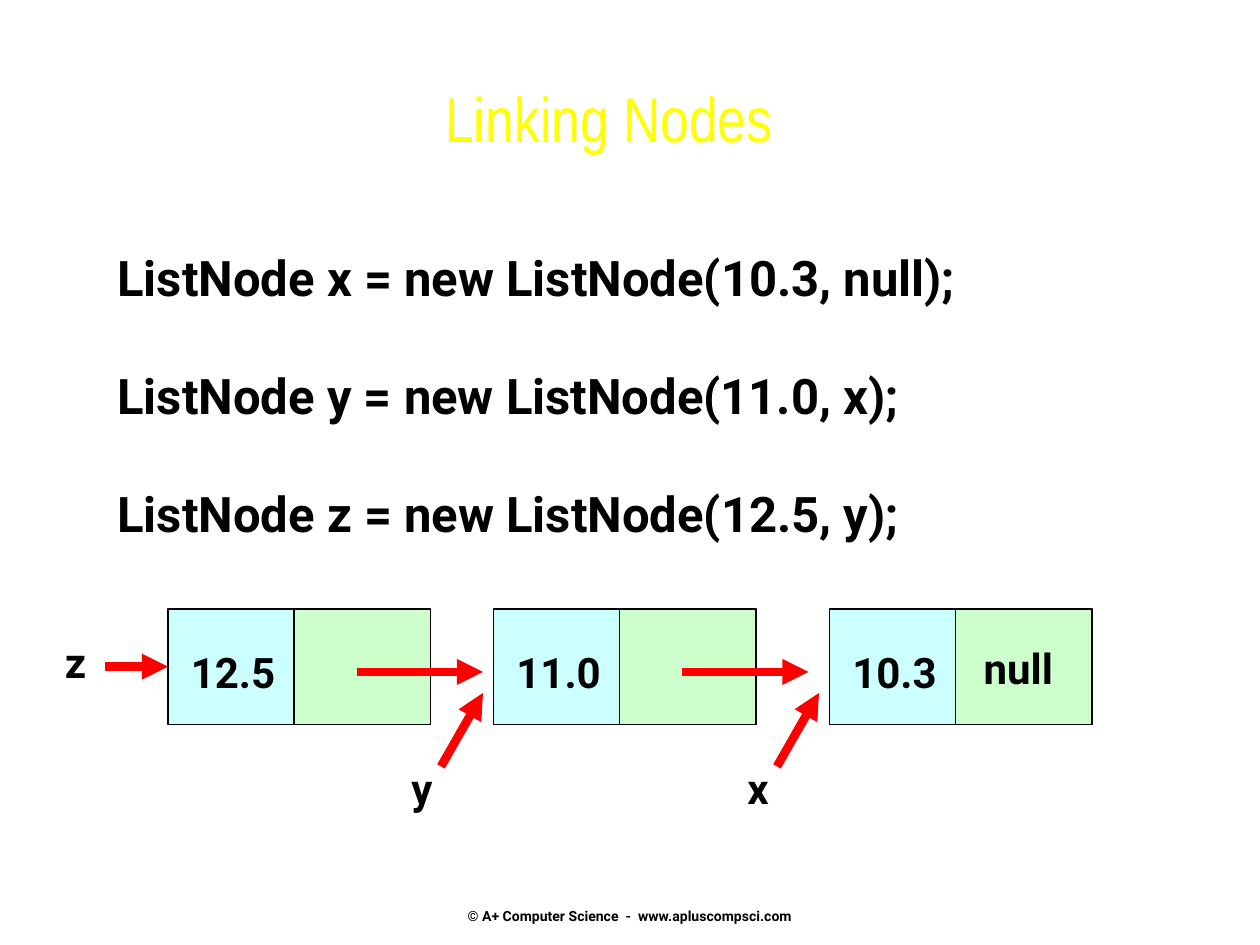
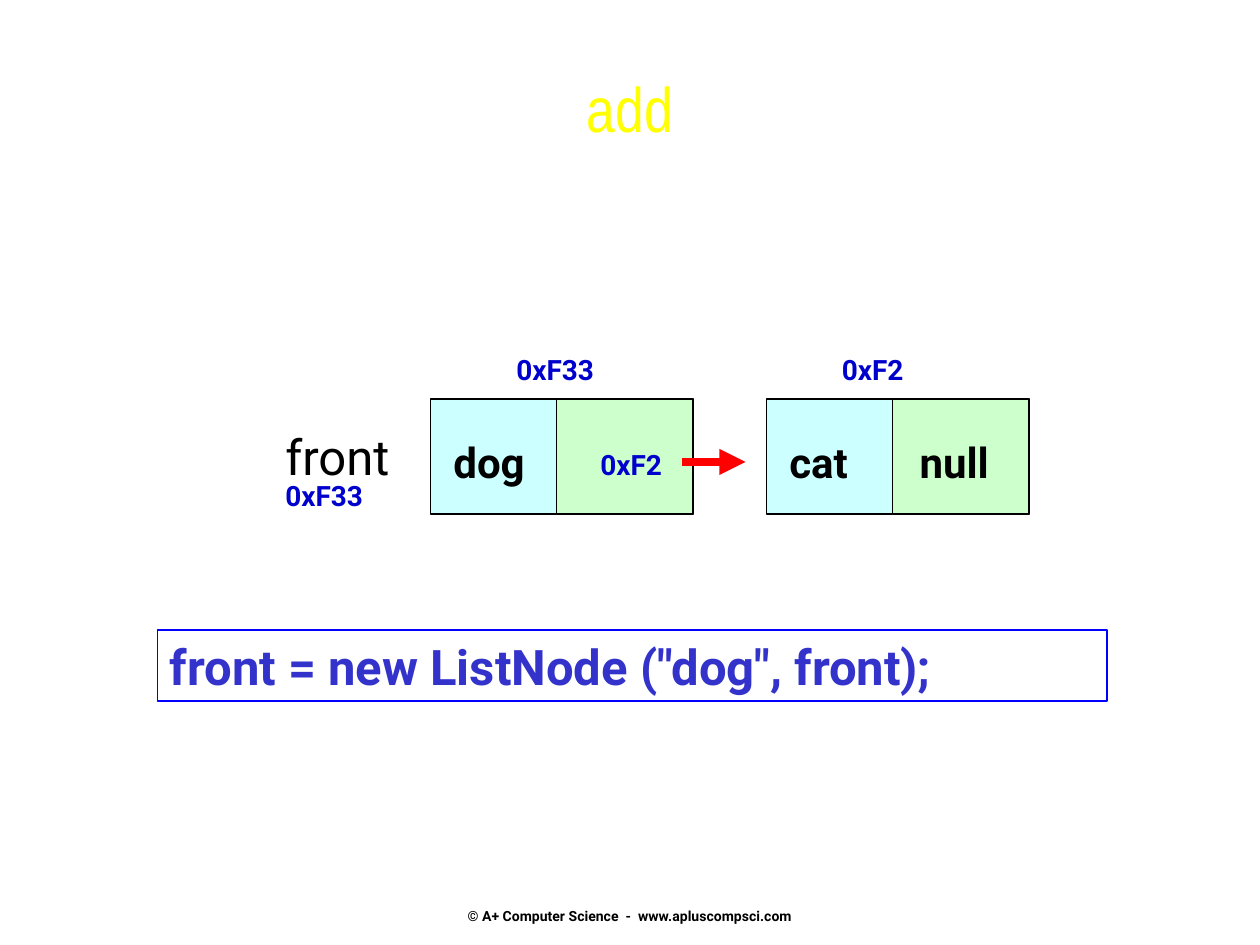
from typing import NamedTuple, Optional

import pptx
import pptx.dml.color
import pptx.enum.shapes
import pptx.enum.text
import pptx.oxml
import pptx.oxml.ns
import pptx.util

RGBColor = pptx.dml.color.RGBColor
PP_ALIGN = pptx.enum.text.PP_ALIGN
ANCHOR = pptx.enum.text.MSO_ANCHOR
RECT = pptx.enum.shapes.MSO_SHAPE.RECTANGLE
STRAIGHT = pptx.enum.shapes.MSO_CONNECTOR.STRAIGHT
Pt = pptx.util.Pt

BLACK = RGBColor(0x00, 0x00, 0x00)
YELLOW = RGBColor(0xFF, 0xFF, 0x00)
RED = RGBColor(0xFF, 0x00, 0x00)
BLUE = RGBColor(0x00, 0x00, 0xFF)
ADDRESS_BLUE = RGBColor(0x00, 0x00, 0xCC)
CODE_BLUE = RGBColor(0x33, 0x33, 0xCC)
DATA_CYAN = RGBColor(0xCC, 0xFF, 0xFF)
LINK_GREEN = RGBColor(0xCC, 0xFF, 0xCC)

COLUMNS = 120
NODE_W, NODE_H, LINK_W = 25, 11, 13
CODE_LINE = 33.7
FOOTER = "© A+ Computer Science  -  www.apluscompsci.com"


class Area(NamedTuple):
    col: float
    row: float
    cols: float
    rows: float


class Style(NamedTuple):
    size: float
    color: RGBColor = BLACK
    bold: bool = True
    name: str = "Roboto"


class Label(NamedTuple):
    text: str
    col: float
    row: float
    style: Style


class Arrow(NamedTuple):
    col: float
    row: float
    to_col: float
    to_row: float
    target: Optional[int] = None


class Node(NamedTuple):
    col: float
    value: str


TITLE = Style(36, YELLOW, False, "Arial Narrow")
CODE = Style(28)
CALL = Style(28, CODE_BLUE)
VARIABLE = Style(28, bold=False)
VALUE = Style(24)
ADDRESS = Style(16, ADDRESS_BLUE)
SMALL = Style(8)

prs = pptx.Presentation()
prs.slide_width = pptx.util.Inches(10)
prs.slide_height = pptx.util.Inches(7.5)
UNIT = prs.slide_width / COLUMNS


def grid(*lengths: float) -> list:
    return [pptx.util.Emu(round(n * UNIT)) for n in lengths]


def write(sp, lines: list, style: Style, align=PP_ALIGN.LEFT, gap: float = 0, **frame) -> None:
    tf = sp.text_frame
    defaults = {"word_wrap": True, "vertical_anchor": ANCHOR.TOP,
                "auto_size": pptx.enum.text.MSO_AUTO_SIZE.NONE}
    for key, value in {**defaults, **frame}.items():
        setattr(tf, key, value)
    for i, line in enumerate(lines):
        p = tf.add_paragraph() if i else tf.paragraphs[0]
        p.alignment = align
        if i:
            p.space_before = Pt(gap)
        r = p.add_run()
        r.text = line
        font = {"size": Pt(style.size), "bold": style.bold, "name": style.name}
        for key, value in font.items():
            setattr(r.font, key, value)
        r.font.color.rgb = style.color


def add_text(s, area: Area, lines: list, style: Style, **options) -> None:
    write(s.shapes.add_textbox(*grid(*area)), lines, style, **options)


def add_label(s, label: Label) -> None:
    height = label.style.size * 0.2 + 1.2
    add_text(s, Area(label.col, label.row, 13, height), [label.text], label.style)


def add_box(s, area: Area, fill: Optional[RGBColor], line: RGBColor):
    sp = s.shapes.add_shape(RECT, *grid(*area))
    sp.shadow.inherit = False
    if fill is None:
        sp.fill.background()
    else:
        sp.fill.solid()
        sp.fill.fore_color.rgb = fill
    sp.line.color.rgb = line
    sp.line.width = Pt(1)
    return sp


def add_node(s, node: Node, row: float):
    data = add_box(s, Area(node.col, row, NODE_W, NODE_H), DATA_CYAN, BLACK)
    link_col = node.col + NODE_W - LINK_W
    add_box(s, Area(link_col, row, LINK_W, NODE_H), LINK_GREEN, BLACK)
    add_label(s, Label(node.value, node.col + 1, row + 3, VALUE))
    return data


def add_arrow(s, arrow: Arrow, boxes: list) -> None:
    cn = s.shapes.add_connector(STRAIGHT, *grid(*arrow[:4]))
    cn.line.color.rgb = RED
    cn.line.width = Pt(5)
    if arrow.target is not None:
        cn.end_connect(boxes[arrow.target], 1)
    qn = pptx.oxml.ns.qn
    props = cn._element.spPr
    tail = props.find(qn("a:ln")).makeelement(qn("a:tailEnd"), {"type": "triangle"})
    props.find(qn("a:ln")).append(tail)
    props.append(props.makeelement(qn("a:effectLst"), {}))


def add_slide(title: str, area: Area):
    s = prs.slides.add_slide(prs.slide_layouts[5])
    sp = s.shapes.title
    for key, value in zip(("left", "top", "width", "height"), grid(*area)):
        setattr(sp, key, value)
    write(sp, [title], TITLE, align=PP_ALIGN.CENTER)
    add_text(s, Area(41, 82, 38, 6), [FOOTER], SMALL, align=PP_ALIGN.CENTER,
             vertical_anchor=ANCHOR.BOTTOM, margin_bottom=0)
    return s


def add_list(s, row: float, nodes: list, arrows: list, labels: list) -> None:
    boxes = [add_node(s, node, row) for node in nodes]
    for label in labels:
        add_label(s, label)
    for arrow in arrows:
        add_arrow(s, arrow, boxes)


def linking_nodes() -> None:
    s = add_slide("Linking Nodes", Area(11, 7, 94, 11))
    code = [f"ListNode {name} = new ListNode({value}, {link});"
            for name, value, link in
            (("x", "10.3", "null"), ("y", "11.0", "x"), ("z", "12.5", "y"))]
    add_text(s, Area(10, 23, 93.6, 29.3), code, CODE, gap=CODE_LINE)
    row = 58
    mid = row + NODE_H / 2
    nodes = [Node(16, "12.5"), Node(47, "11.0"), Node(79, "10.3")]
    arrows = [Arrow(10, mid, 16, mid, target=0)]
    labels = [Label("z", 5, 60, VALUE), Label("null", 92.5, 60.6, VALUE)]
    for node, following, name in zip(nodes, nodes[1:], "yx"):
        arrows.append(Arrow(node.col + 18, row + 6, node.col + 30, row + 6))
        arrows.append(Arrow(following.col - 5, row + 15, following.col - 1, row + 8))
        labels.append(Label(name, following.col - 9, row + 14, VALUE))
    add_list(s, row, nodes, arrows, labels)


def add_method() -> None:
    s = add_slide("add", Area(17, 6, 86, 14))
    row = 38
    labels = [Label("null", 86.4, 41, VALUE), Label("front", 26, 40, VARIABLE),
              Label("0xF33", 26, 45, ADDRESS), Label("0xF33", 48, 33, ADDRESS),
              Label("0xF2", 56, 42, ADDRESS), Label("0xF2", 79, 33, ADDRESS)]
    add_list(s, row, [Node(41, "dog"), Node(73, "cat")],
             [Arrow(65, row + 6, 71, row + 6)], labels)
    sp = add_box(s, Area(15, 60, 90.4, 6.8), None, BLUE)
    write(sp, ['front = new ListNode ("dog", front);'], CALL)


def main() -> None:
    linking_nodes()
    add_method()
    prs.save("out.pptx")


if __name__ == "__main__":
    main()
